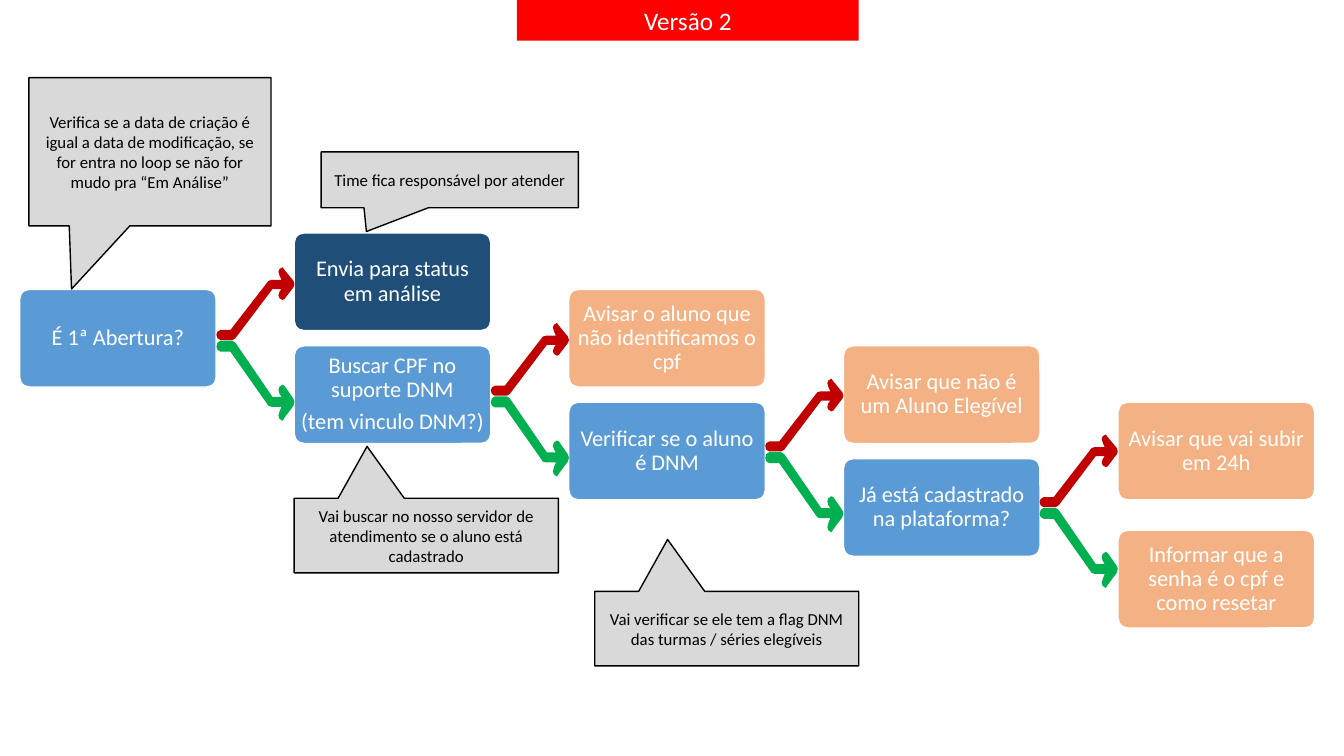
from pptx import Presentation
from pptx.dml.color import RGBColor
from pptx.enum.shapes import MSO_SHAPE as Shape
from pptx.enum.text import MSO_ANCHOR as Anchor, MSO_AUTO_SIZE as AutoSize, PP_ALIGN as Align
from pptx.util import Pt

WHITE = RGBColor(0xFF, 0xFF, 0xFF)
BLACK = RGBColor(0x00, 0x00, 0x00)
RED = RGBColor(0xFF, 0x00, 0x00)
BLUE = RGBColor(0x5B, 0x9B, 0xD5)
NAVY = RGBColor(0x1F, 0x4E, 0x79)
PEACH = RGBColor(0xF4, 0xB1, 0x83)
GREY = RGBColor(0xD9, 0xD9, 0xD9)
NO_RED = RGBColor(0xC0, 0x00, 0x00)
YES_GREEN = RGBColor(0x00, 0xB0, 0x50)

STEP_SIZE = (140.4, 69.8)
COLUMN_GAP, ROW_GAP = 196.15, 40.3
ARROW_OUTLINE = [
    (68, 45), (66, 44), (63, 46), (62, 49), (63, 53), (65, 56), (56, 56),
    (19, 2), (16, 0), (4, 0), (1, 2), (0, 6), (1, 9), (4, 11), (14, 11),
    (52, 65), (55, 66), (65, 66), (63, 71), (62, 75), (63, 78), (66, 80),
    (68, 77), (77, 65), (78, 61), (77, 58),
]
ARROW_GRID = (78, 80)

BRANCHES = [
    (["Envia para status em análise"], NAVY,
     ["Buscar CPF no suporte DNM", "(tem vinculo DNM?)"], BLUE),
    (["Avisar o aluno que não identificamos o cpf"], PEACH,
     ["Verificar se o aluno é DNM"], BLUE),
    (["Avisar que não é um Aluno Elegível"], PEACH,
     ["Já está cadastrado na plataforma?"], BLUE),
    (["Avisar que vai subir em 24h"], PEACH,
     ["Informar que a senha é o cpf e como resetar"], PEACH),
]
TAIL_DOWN, TAIL_UP = (-0.324, 0.926), (-0.224, -1.195)
NOTES = [
    ((20.7, 55.5, 172.9, 105.9), TAIL_DOWN,
     "Verifica se a data de criação é igual a data de modificação, se for entra "
     "no loop se não for mudo pra “Em Análise”"),
    ((229.4, 108.5, 183.8, 39.9), TAIL_DOWN, "Time fica responsável por atender"),
    ((210.1, 355.9, 188.8, 53.3), TAIL_UP,
     "Vai buscar no nosso servidor de atendimento se o aluno está cadastrado"),
    ((424.8, 422.4, 188.6, 53.3), TAIL_UP,
     "Vai verificar se ele tem a flag DNM das turmas / séries elegíveis"),
]


def set_all(target, values):
    """Set every attribute in a dict of format values."""
    for attribute, value in values.items():
        setattr(target, attribute, value)


def write(frame, lines, size, color, spacing=None, margin=None):
    """Write centred lines into a text frame."""
    set_all(frame, {"word_wrap": True, "vertical_anchor": Anchor.MIDDLE,
                    "auto_size": AutoSize.NONE})
    if margin is not None:
        sides = ("left", "right", "top", "bottom")
        set_all(frame, {f"margin_{side}": Pt(margin) for side in sides})
    for index, line in enumerate(lines):
        paragraph = frame.add_paragraph() if index else frame.paragraphs[0]
        set_all(paragraph, {"alignment": Align.CENTER, **(spacing or {})})
        run = paragraph.add_run()
        run.text = line
        set_all(run.font, {"name": "Calibri", "size": Pt(size), "bold": False})
        run.font.color.rgb = color


def paint(shape, fill, line=None):
    """Give a shape a flat fill and a thin line or none."""
    shape.shadow.inherit = False
    shape.fill.solid()
    shape.fill.fore_color.rgb = fill
    if line is None:
        shape.line.fill.background()
    else:
        shape.line.color.rgb = line
        shape.line.width = Pt(1)


def add_version_title(slide, box):
    """Turn the title placeholder into the red version banner."""
    title = slide.shapes.title
    set_all(title, dict(zip(("left", "top", "width", "height"), map(Pt, box))))
    title.fill.solid()
    title.fill.fore_color.rgb = RED
    write(title.text_frame, ["Versão 2"], 18, WHITE)


def add_step(slide, left, top, lines, fill):
    """Add one rounded step of the flow."""
    step = slide.shapes.add_shape(Shape.ROUNDED_RECTANGLE,
                                  *map(Pt, (left, top, *STEP_SIZE)))
    step.adjustments[0] = 0.1
    paint(step, fill, WHITE)
    write(step.text_frame, lines, 16, WHITE,
          {"line_spacing": 0.9, "space_after": Pt(5.6)}, 2.75)


def add_branch_arrow(slide, box, color, rising):
    """Draw a bent arrow that fills the box, rising or falling."""
    left, top, width, height = box
    columns, rows = ARROW_GRID
    points = [(Pt(left + width * x / columns),
               Pt(top + height * ((rows - y) if rising else y) / rows))
              for x, y in ARROW_OUTLINE]
    outline = slide.shapes.build_freeform(*points[0], scale=1.0)
    outline.add_line_segments(points[1:], close=True)
    paint(outline.convert_to_shape(), color)


def add_note(slide, box, tail, text):
    """Add a grey callout whose tail points to a step."""
    note = slide.shapes.add_shape(Shape.RECTANGULAR_CALLOUT, *map(Pt, box))
    for index, offset in enumerate(tail):
        note.adjustments[index] = offset
    paint(note, GREY, BLACK)
    write(note.text_frame, [text], 12, BLACK)


def add_flow(slide, left, top):
    """Add the first question and its four descending branches."""
    add_step(slide, left, top + ROW_GAP, ["É 1ª Abertura?"], BLUE)
    last = len(BRANCHES) - 1
    for level, (no_lines, no_fill, yes_lines, yes_fill) in enumerate(BRANCHES):
        x = left + (level + 1) * COLUMN_GAP
        y = top + level * ROW_GAP
        drop = 91.5 if level == last else 2 * ROW_GAP
        add_step(slide, x, y, no_lines, no_fill)
        add_step(slide, x, y + drop, yes_lines, yes_fill)
        arrow_x = left + 140.6 + level * 196
        arrow_y = top + 24.5 + level * 39.8
        add_branch_arrow(slide, (arrow_x, arrow_y, 55.8, 52), NO_RED, True)
        add_branch_arrow(slide, (arrow_x, arrow_y + 52.5, 55.8, 57.2), YES_GREEN, False)


def main():
    """Build and save the presentation."""
    deck = Presentation()
    set_all(deck, {"slide_width": Pt(960), "slide_height": Pt(540)})
    slide = deck.slides.add_slide(deck.slide_layouts.get_by_name("Title Only"))
    add_version_title(slide, (369.2, 0, 244.2, 29))
    add_flow(slide, 14, 166.4)
    for box, tail, text in NOTES:
        add_note(slide, box, tail, text)
    deck.save("out.pptx")


if __name__ == "__main__":
    main()
